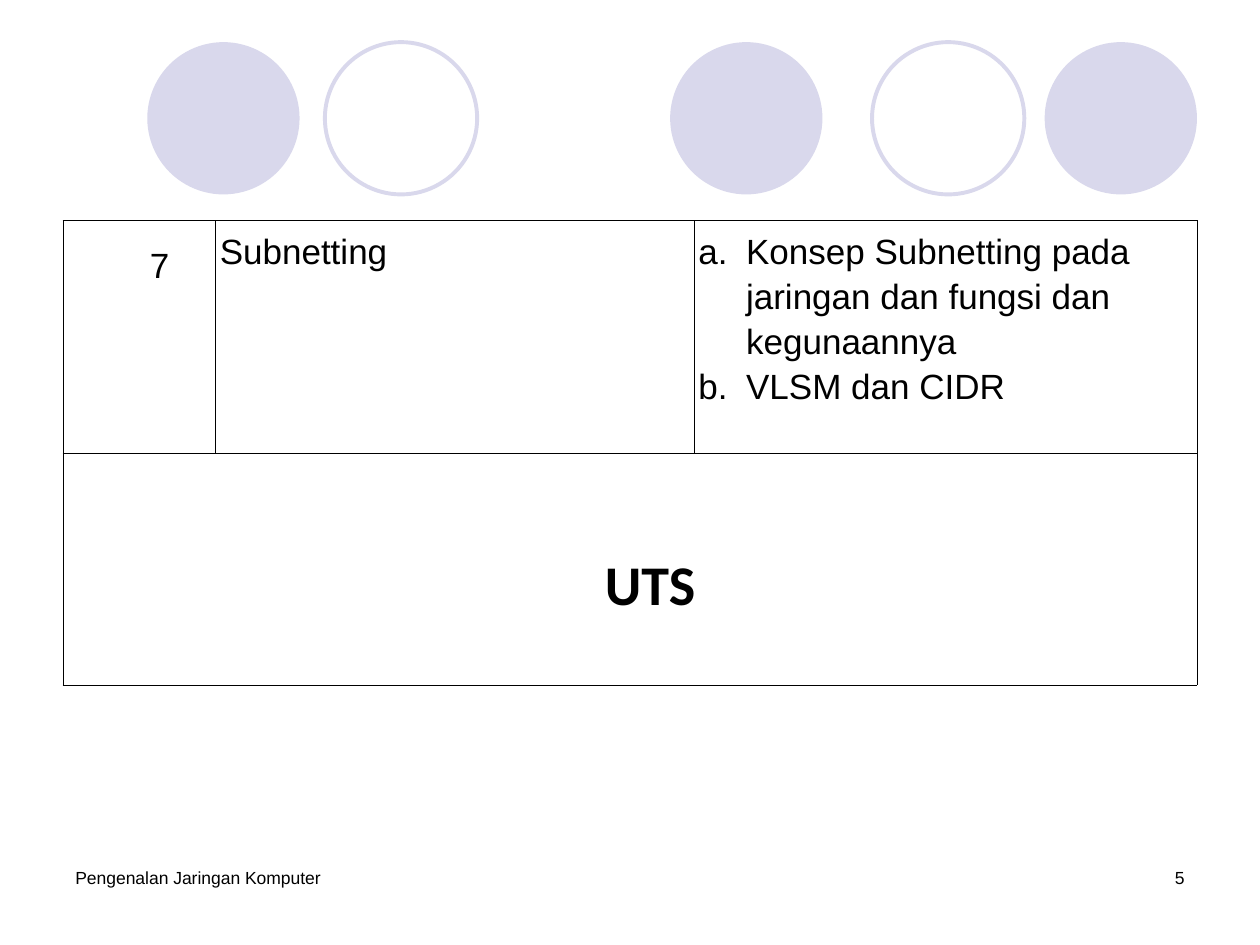
"""Build a course plan slide with a topic table under a row of circles."""
from lxml import etree
from pptx import Presentation, util as u
from pptx.dml.color import RGBColor
from pptx.enum import shapes, text
from pptx.oxml import ns

INK, LILAC = "000000", "D9D8EC"
ALIGN, ANCHOR = text.PP_ALIGN, text.MSO_ANCHOR


def tint(code):
    return RGBColor.from_string(code)


def write(par, words, size=20, face="Arial", bold=False, **form):
    run = par.add_run()
    run.text = words
    look = {"size": u.Pt(size), "name": face, "bold": bold}
    for key, val in look.items():
        setattr(run.font, key, val)
    run.font.color.rgb = tint(INK)
    for key, val in form.items():
        setattr(par, key, val)


deck = Presentation()
deck.slide_width, deck.slide_height = u.Cm(25.4), u.Cm(19.05)
slide = deck.slides.add_slide(deck.slide_layouts[6])

for left, solid in ((13.51, True), (21.06, True), (2.97, True), (17.58, False), (6.55, False)):
    disc = slide.shapes.add_shape(
        shapes.MSO_SHAPE.OVAL, u.Cm(left), u.Cm(0.85), u.Cm(3.07), u.Cm(3.07))
    disc.shadow.inherit = False
    if solid:
        disc.fill.solid()
        disc.fill.fore_color.rgb = tint(LILAC)
        disc.line.fill.background()
    else:
        disc.fill.background()
        disc.line.color.rgb = tint(LILAC)
        disc.line.width = u.Pt(2.25)

table = slide.shapes.add_table(
    2, 3, u.Cm(1.27), u.Cm(4.45), u.Cm(22.86), u.Cm(9.36)).table
table.first_row = table.horz_banding = False
for col, wide in zip(table.columns, (3.08, 9.65, 10.13)):
    col.width = u.Cm(wide)
for row in table.rows:
    row.height = u.Cm(4.68)

inset = {"margin_left": 0.08, "margin_right": 0.08, "margin_top": 0.13, "margin_bottom": 0.13}
for cell in table.iter_cells():
    for key, val in inset.items():
        setattr(cell, key, u.Cm(val))
    props = cell._tc.get_or_add_tcPr()
    for side in ("lnL", "lnR", "lnT", "lnB"):
        edge = etree.SubElement(props, ns.qn("a:" + side), w=str(u.Pt(0.45)))
        paint = etree.SubElement(edge, ns.qn("a:solidFill"))
        etree.SubElement(paint, ns.qn("a:srgbClr"), val=INK)
    cell.fill.background()

week, topic, points = (table.cell(0, col) for col in range(3))
exam = table.cell(1, 0)
exam.merge(table.cell(1, 2))
exam.vertical_anchor = ANCHOR.MIDDLE

mid = {"alignment": ALIGN.CENTER, "line_spacing": 1.5}
write(week.text_frame.paragraphs[0], "7", **mid)
write(exam.text_frame.paragraphs[0], "UTS", 32, "Calibri", True, **mid)
for cell in (week, exam):
    cell.text_frame.paragraphs[0]._p.get_or_add_pPr().set("marL", str(u.Cm(0.81)))
write(topic.text_frame.paragraphs[0], "Subnetting", alignment=ALIGN.JUSTIFY, line_spacing=1.15)

frame = points.text_frame
items = ("Konsep Subnetting pada jaringan dan fungsi dan kegunaannya", "VLSM dan CIDR")
for rank, item in enumerate(items):
    par = frame.add_paragraph() if rank else frame.paragraphs[0]
    write(par, item, line_spacing=1.15)
    props = par._p.get_or_add_pPr()
    props.set("marL", str(u.Cm(0.96)))
    props.set("indent", str(u.Cm(-0.96)))
    hue = etree.SubElement(props, ns.qn("a:buClr"))
    etree.SubElement(hue, ns.qn("a:srgbClr"), val=INK)
    etree.SubElement(props, ns.qn("a:buAutoNum"), type="alphaLcPeriod")

for left, words, side in ((1.27, "Pengenalan Jaringan Komputer", ALIGN.LEFT),
                          (18.2, "5", ALIGN.RIGHT)):
    box = slide.shapes.add_textbox(u.Cm(left), u.Cm(17.35), u.Cm(5.93), u.Cm(1.27))
    box.text_frame.word_wrap = True
    write(box.text_frame.paragraphs[0], words, 10, alignment=side)

deck.save("out.pptx")
